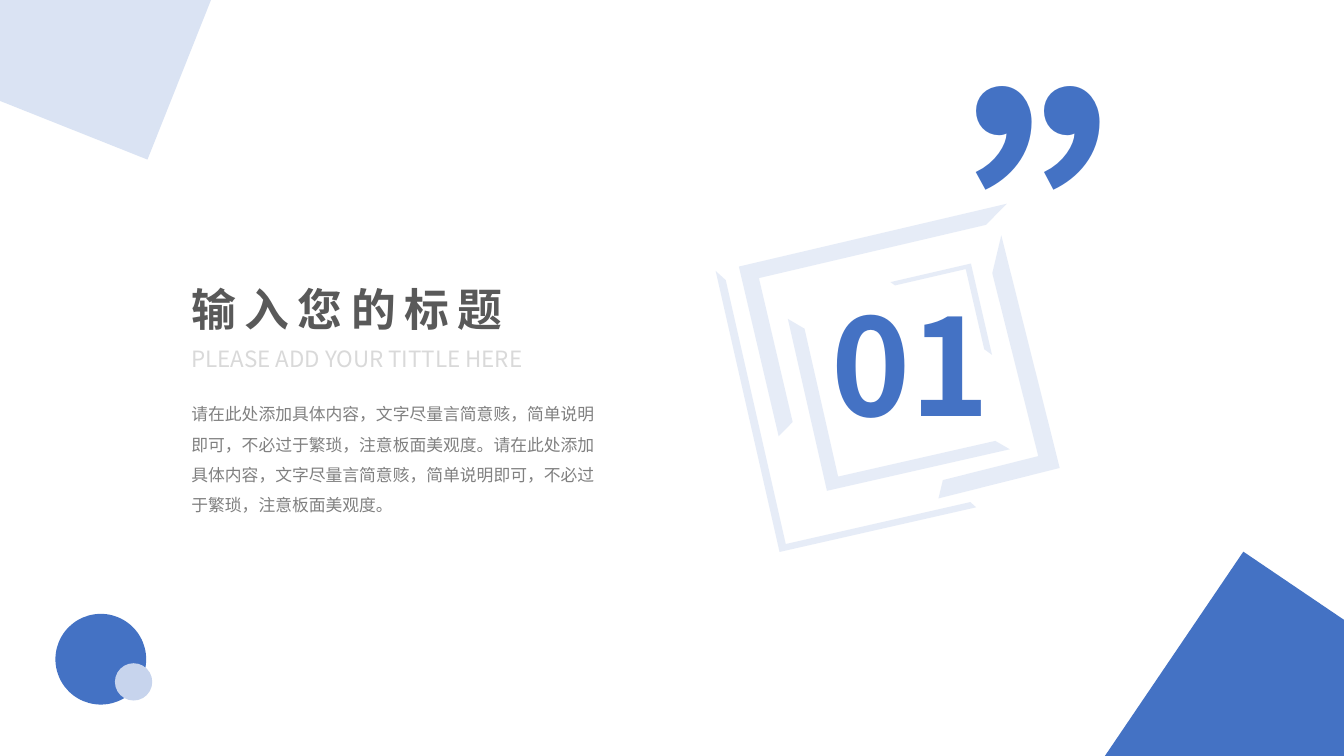
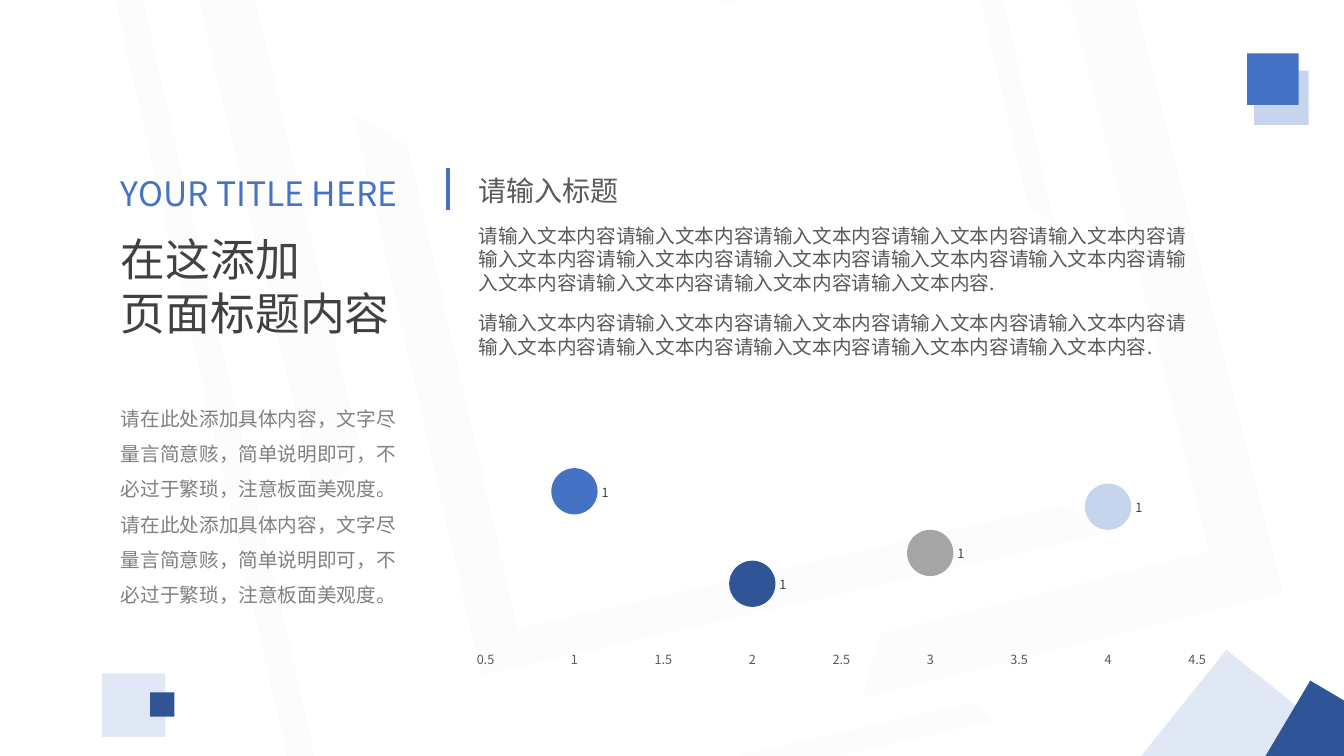
"""Build a section slide and a bubble chart slide in one blue style."""
import pptx
import pptx.util
import pptx.chart.data
import pptx.dml.color
import pptx.enum.chart
import pptx.enum.shapes
import pptx.enum.text
import pptx.oxml.ns

SCALE = 9144
FONT = "Noto Sans CJK SC"
BLUE, DARK, PALE = "4472C4", "2F5597", "C7D4ED"
GREY, BODY, INK = "A5A5A5", "808080", "595959"
KIND = pptx.enum.shapes.MSO_SHAPE
ALIGN = pptx.enum.text.PP_ALIGN
FIT = pptx.enum.text.MSO_AUTO_SIZE
hue = pptx.dml.color.RGBColor.from_string
qn = pptx.oxml.ns.qn
Pt = pptx.util.Pt


def shape(page, kind, box, color, turn=0, alpha=100):
    """Draw a filled preset shape without an outline."""
    item = page.shapes.add_shape(kind, *[n * SCALE for n in box])
    item.shadow.inherit = False
    item.line.fill.background()
    item.fill.solid()
    item.fill.fore_color.rgb = hue(color)
    item.rotation = turn
    if alpha < 100:
        tint = item._element.spPr.find(".//" + qn("a:srgbClr"))
        tint.append(tint.makeelement(qn("a:alpha"), {"val": str(alpha * 1000)}))
    return item


def text(page, box, lines, sizes, color, bold=False, wrap=True, grow=True, lead=None, gap=0):
    """Add a text box with one paragraph for each line."""
    item = page.shapes.add_textbox(*[n * SCALE for n in box])
    frame = item.text_frame
    frame.text = "\n".join(lines)
    frame.word_wrap = wrap
    frame.auto_size = FIT.SHAPE_TO_FIT_TEXT if grow else FIT.NONE
    for i, (para, size) in enumerate(zip(frame.paragraphs, sizes)):
        if lead:
            para.line_spacing = lead
        if gap and i:
            para.space_before = Pt(gap)
        for run in para.runs:
            run.font.size = Pt(size)
            run.font.bold = bold
            run.font.color.rgb = hue(color)
            run.font.name = FONT
            props = run._r.get_or_add_rPr()
            props.append(props.makeelement(qn("a:ea"), {"typeface": FONT}))
    return item


deck = pptx.Presentation()
deck.slide_width, deck.slide_height = 1333 * SCALE, 750 * SCALE
cover, page = [deck.slides.add_slide(deck.slide_layouts[6]) for _ in range(2)]

note = "请在此处添加具体内容，文字尽量言简意赅，简单说明即可，不必过于繁琐，注意板面美观度。" * 2
bands = [
    (257.2, 0.08, 0.065, False),
    (257.2, 0.039, 0.032, False),
    (77, 0.077, 0.052, False),
    (346.8, 0.091, 0.097, False),
    (75.9, 0.144, 0.134, True),
]
small = [(804, 288, 175, 186), (696, 286, 286, 200), (887, 275, 93, 82),
         (749, 231, 273, 173), (843, 302, 238, 124)]
large = [(442, 0, 570, 642), (81, -6, 928, 690), (724, -34, 301, 283),
         (237, -166, 945, 561), (583, 50, 774, 430)]

text(page, (110, 225, 289, 118), ["在这添加", "页面标题内容"], [32, 32], "404040", wrap=False)
text(page, (110, 167, 348, 34), ["YOUR TITLE HERE"], [24], BLUE, grow=False)
text(page, (110, 387, 309, 218), [note], [14], BODY, lead=1.5)

for slide, boxes, color, alpha in [(cover, small, BLUE, 13), (page, large, "A6A6A6", 3)]:
    for box, (turn, first, second, flip) in zip(boxes, bands):
        band = shape(slide, KIND.HALF_FRAME, box, color, turn, alpha)
        band.adjustments[0] = first
        band.adjustments[1] = second
        if flip:
            band._element.spPr.xfrm.set("flipH", "1")

shape(cover, KIND.RECTANGLE, (-90, -190, 303, 303), "DAE3F3", 201.7)
shape(cover, KIND.RECTANGLE, (1132, 601, 276, 276), BLUE, 34.1)
quote = text(cover, (1127, -172, 175, 412), ["“"], [239], BLUE, bold=True)
quote.rotation = 180
shape(cover, KIND.OVAL, (55, 609, 90, 90), BLUE)
shape(cover, KIND.OVAL, (114, 658, 37, 37), PALE)
text(cover, (815, 275, 179, 172), ["01"], [96], BLUE, bold=True, wrap=False)
title = text(cover, (180, 275, 396, 64), ["输入您的标题"], [32], INK, bold=True)
para = title.text_frame.paragraphs[0]
para.alignment = ALIGN.JUSTIFY
para.runs[0]._r.get_or_add_rPr().set("spc", "600")
text(cover, (180, 338, 481, 37), ["PLEASE ADD YOUR TITTLE HERE"], [16], "D9D9D9")
text(cover, (180, 386, 433, 128), [note], [12], BODY, lead=1.5)

for left, top, side, color, turn, alpha in [
    (1244, 70, 54, PALE, 0, 100),
    (1153, 675, 150, PALE, 308.7, 53),
    (101, 668, 63, PALE, 0, 53),
    (149, 687, 24, DARK, 0, 100),
    (1237, 53, 51, BLUE, 0, 100),
    (1270, 692, 91, DARK, 300.7, 100),
]:
    shape(page, KIND.RECTANGLE, (left, top, side, side), color, turn, alpha)

words = "请输入文本内容"
text(page, (465, 167, 740, 195), ["请输入标题", words * 14 + ".", words * 10 + "."],
     [20, 14, 14], INK, gap=12)

rule = page.shapes.add_connector(pptx.enum.shapes.MSO_CONNECTOR.STRAIGHT,
                                 *[n * SCALE for n in (444, 167, 444, 208)])
rule.line.color.rgb = hue(BLUE)
rule.line.width = Pt(3)
props = rule._element.spPr
props.append(props.makeelement(qn("a:effectLst"), {}))

data = pptx.chart.data.BubbleChartData()
dots = data.add_series("Series 1")
for x, y in enumerate([100, 40, 60, 90], 1):
    dots.add_data_point(x, y, 1)
chart = page.shapes.add_chart(pptx.enum.chart.XL_CHART_TYPE.BUBBLE,
                              *[n * SCALE for n in (444, 429, 752, 233)], data).chart
chart.has_title = chart.has_legend = False
chart.font.name, chart.font.size = FONT, Pt(10)
chart.font.color.rgb = hue("000000")

base, rise = chart.category_axis, chart.value_axis
base.minimum_scale, base.maximum_scale, base.major_unit = 0.5, 4.5, 0.5
rise.minimum_scale, rise.maximum_scale = 0, 120
base.has_major_gridlines = rise.has_major_gridlines = False
base.major_tick_mark = base.minor_tick_mark = pptx.enum.chart.XL_TICK_MARK.NONE
base.format.line.fill.background()
rise.visible = False

plot = chart.plots[0]
for vary in plot._element.findall(qn("c:varyColors")):
    vary.set("val", "0")
plot.has_data_labels = True
tags = plot.data_labels
tags.show_value = True
tags.position = pptx.enum.chart.XL_LABEL_POSITION.RIGHT
for font, color in [(base.tick_labels.font, INK), (tags.font, "404040")]:
    font.name, font.size = FONT, Pt(9)
    font.color.rgb = hue(color)

row = plot.series[0]
row._element.find(qn("c:xVal")).addprevious(tags._element)
for i, color in enumerate([BLUE, DARK, GREY, PALE]):
    fill = row.points[i].format.fill
    fill.solid()
    fill.fore_color.rgb = hue(color)

area = chart._chartSpace.find(".//" + qn("c:plotArea"))
for old in area.findall(qn("c:layout")):
    area.remove(old)
lay = area.makeelement(qn("c:layout"), {})
area.insert(0, lay)
hand = lay.makeelement(qn("c:manualLayout"), {})
lay.append(hand)
for key, val in [("layoutTarget", "inner"), ("xMode", "edge"), ("yMode", "edge"),
                 ("x", 0.05), ("y", 0.12), ("w", 0.94), ("h", 0.79)]:
    hand.append(hand.makeelement(qn("c:" + key), {"val": str(val)}))

deck.save("out.pptx")
